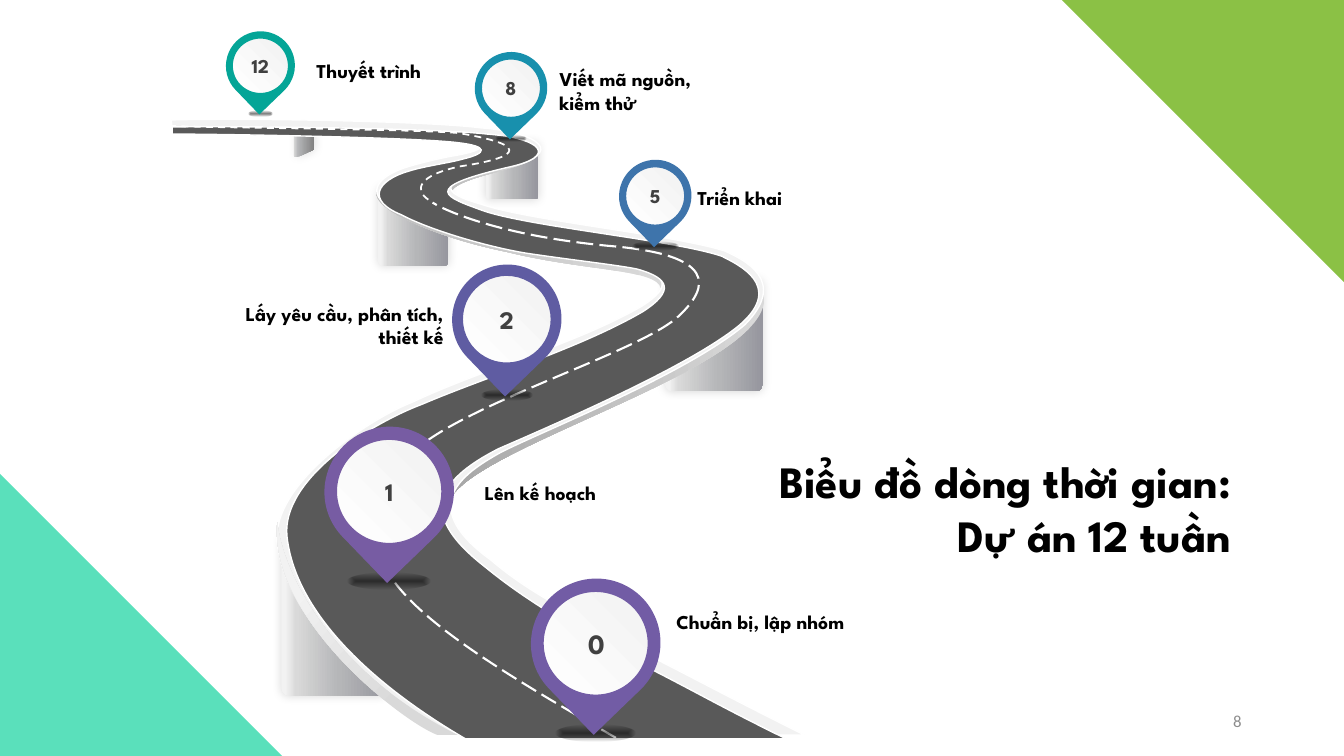
from dataclasses import dataclass

from lxml import etree
from pptx import Presentation
from pptx import util as u
from pptx.dml.color import RGBColor
from pptx.enum import dml, shapes, text
from pptx.oxml.ns import qn

COLORS = {
    "ink": "000000", "number": "404040", "page": "8C8C8C", "white": "FFFFFF",
    "verge": "F2F2F2", "asphalt": "595959", "mint": "5AE0BB", "lime": "8BC145",
    "silver": "D9D9D9", "steel": "B5B6B8", "slate": "96969E", "grey": "808080",
    "ash": "BFBFBF", "stone": "A6A6A6",
    "violet": "725CA5", "purple": "775CA3", "indigo": "5F5CA2",
    "blue": "3E74AB", "cyan": "1890AD", "teal": "04A597",
}
FONT = "League Spartan"
Box = tuple[float, float, float, float]
Stops = list[tuple[int, str, int]]


@dataclass
class Outline:
    start: tuple[float, float]
    segments: list[tuple[float, ...]]
    closed: bool = True


@dataclass
class Column:
    box: Box
    corner: float = 0.07


@dataclass
class Milestone:
    week: str
    color: str
    center: tuple[float, float]
    width: float
    shade_width: float
    ring: float
    size: int
    label: str
    label_box: Box
    align: text.PP_ALIGN = text.PP_ALIGN.LEFT


COLUMN_STOPS: Stops = [(4, "verge", 100), (14, "silver", 100), (55, "steel", 100), (100, "slate", 100)]
POST_STOPS: Stops = [(4, "verge", 100), (14, "silver", 100), (100, "steel", 100)]
BRACKET_STOPS: Stops = [(4, "steel", 100), (100, "grey", 100)]
DISC_STOPS: Stops = [(0, "white", 100), (100, "verge", 100)]
SHADE_STOPS: Stops = [(0, "ink", 52), (100, "ink", 0)]
EDGE_STOPS: Stops = [(23, "silver", 100), (78, "verge", 100)]

COLUMNS = [Column((475, 199.5, 70, 80)), Column((270, 134, 50.5, 56)),
           Column((201, 381, 75, 116)), Column((347, 102, 37.5, 40.5))]
POST = Column((209.5, 92, 3.5, 20), 0.33)
BRACKET = Outline((212.4, 94.3), [(224, 94.3), (224.6, 106.6), (212.4, 112.3)])

UNDERSIDES = [
    (Outline((335, 126), [(358.6, 117.4, 378, 119.5, 386.6, 106.6),
                          (387.4, 120.2, 332, 123.8, 322.6, 136),
                          (321, 134, 324, 129.6, 335, 126)]), "ash"),
    (Outline((269, 137), [(274, 153, 337, 171, 361, 176), (399, 188, 480, 186, 472, 206),
                          (469, 192, 419, 194, 362, 180), (313, 170, 266, 150, 269, 137)]), "ash"),
    (Outline((405, 300), [(472, 273, 552, 226, 545, 208), (562, 260, 336, 318, 321, 358),
                          (324, 336, 364, 315, 405, 300)]), "stone"),
]
VERGE = Outline((122.4, 85.7), [
    (123, 94.3), (157, 94.3, 292, 95.8, 324, 100), (352, 103, 346, 107.3, 326, 111),
    (317.5, 112.3, 299, 116.6, 288, 120.2), (273.6, 125.3, 257, 136.8, 282, 150.5),
    (310, 165, 350, 173.5, 378.7, 180), (407.5, 186.5, 440.6, 187, 455, 191.5),
    (476, 196.6, 481, 204.5, 458, 219), (411, 246, 345, 263.5, 294.5, 287.3),
    (263, 299.5, 193.7, 346, 198, 387.4), (206, 450.7, 278.6, 503, 317.5, 525),
    (574.6, 525), (518.4, 497, 502.6, 488, 451.4, 462), (416, 441, 382, 427, 350.6, 400),
    (299.5, 363, 327, 340.6, 355, 324.7), (375, 313, 489, 268.6, 532, 232),
    (564, 200, 530, 185, 517.7, 179.3), (481.7, 167.8, 378, 157.7, 344, 146),
    (316, 138, 308, 130.3, 361.4, 118.8), (406.8, 110, 383.8, 94.3, 344, 91.4),
    (305, 86.4, 169, 84.2, 122.4, 85.7)])
ASPHALT = Outline((123, 90.7), [
    (123, 95.8), (155.5, 95.8, 296.6, 98, 327.6, 102), (348.5, 104.4, 349, 109.4, 330, 113.8),
    (323, 116, 302.4, 118.8, 291.6, 122.4), (269, 129, 261.4, 143.3, 286.6, 153.4),
    (309.6, 165.6, 355, 178, 379.4, 181.4), (409, 185.8, 441.4, 189.4, 455, 192.2),
    (478.8, 198.7, 481.7, 208, 459.4, 222.5), (414, 249, 347, 269.3, 301.7, 288.7),
    (265, 302.4, 201, 342, 205, 383), (212.4, 451.4, 295, 506, 332.6, 527.8),
    (561.6, 527.8), (507, 501, 490, 490, 440.6, 465.8), (406, 445.7, 377, 430, 346, 404.6),
    (301, 369.4, 308, 345, 356.4, 320.4), (419.8, 293, 497.5, 257.8, 528.5, 232),
    (561, 203.8, 526.3, 188.6, 515.5, 183), (481, 171.4, 378, 162, 345, 150.5),
    (319, 141, 298, 134.6, 363, 119.5), (399.6, 111.6, 386.6, 98.6, 347.8, 95.8),
    (309.6, 91.4, 167.8, 90, 123, 90.7)])
NEAR_LANE = Outline((440, 527), [
    (368.6, 486, 296.6, 444, 276.5, 407.5), (256.3, 370, 267, 336, 319, 306),
    (371.5, 275.8, 460.8, 247.7, 484.6, 226), (507.6, 204.5, 512, 182, 435.6, 175.7),
    (358.6, 168.5, 319, 151, 309, 144.7)], closed=False)
FAR_LANE = Outline((306, 142.6), [
    (296, 136, 298, 125.3, 329, 118.8), (363, 113.8, 387.4, 105, 327, 95),
    (291.6, 92.2, 159, 91.4, 122.4, 90)], closed=False)
EDGE = Outline((198, 373), [(202.3, 411.8, 239, 481, 327, 525), (312.5, 525),
                            (288, 516, 192, 442, 198, 373)])
CORNERS = [(Outline((0, 338.4), [(201.6, 540), (0, 540)]), "mint"),
           (Outline((960, 201.6), [(758.4, 0), (960, 0)]), "lime")]

MILESTONES = [
    Milestone("2", "indigo", (362, 228), 78.5, 36.5, 1.75, 18, "Lấy yêu cầu, phân tích, thiết kế",
              (151, 212.5, 173, 39.5), text.PP_ALIGN.RIGHT),
    Milestone("1", "purple", (278, 351), 93, 59, 1.75, 18, "Lên kế hoạch", (339, 340, 104.5, 24)),
    Milestone("0", "violet", (425.5, 459.5), 93, 57.5, 2, 20, "Chuẩn bị, lập nhóm", (476, 432, 147, 24)),
    Milestone("5", "blue", (468, 140), 52, 32.5, 1.25, 14, "Triển khai", (491, 120, 108.5, 42)),
    Milestone("8", "cyan", (365, 63), 52, 21.5, 1.25, 14, "Viết mã nguồn, kiểm thử", (392.5, 41, 130, 47.5)),
    Milestone("12", "teal", (186, 47), 49.5, 16.5, 1.25, 14, "Thuyết trình", (219, 30, 116, 41)),
]


def rgb(name: str) -> RGBColor:
    return RGBColor.from_string(COLORS[name])


def place(box: Box) -> list[u.Length]:
    return [u.Pt(v) for v in box]


def centered(x: float, y: float, width: float, height: float) -> Box:
    return x - width / 2, y - height / 2, width, height


def paint(shape, fill: str | None = None, line: str | None = None, weight: float = 1, dash=None) -> None:
    shape.shadow.inherit = False
    if fill:
        shape.fill.solid()
        shape.fill.fore_color.rgb = rgb(fill)
    else:
        shape.fill.background()
    if line:
        shape.line.color.rgb = rgb(line)
        shape.line.width = u.Pt(weight)
        shape.line.dash_style = dash
    else:
        shape.line.fill.background()


def blend(shape, stops: Stops, angle: int | None = 0) -> None:
    shape.fill.gradient()
    grad = shape._element.spPr.find(qn("a:gradFill"))
    for child in list(grad):
        grad.remove(child)
    listing = etree.SubElement(grad, qn("a:gsLst"))
    for position, name, opacity in stops:
        stop = etree.SubElement(listing, qn("a:gs"), pos=str(position * 1000))
        tint = etree.SubElement(stop, qn("a:srgbClr"), val=COLORS[name])
        if opacity < 100:
            etree.SubElement(tint, qn("a:alpha"), val=str(opacity * 1000))
    if angle is None:
        radial = etree.SubElement(grad, qn("a:path"), {"path": "shape"})
        etree.SubElement(radial, qn("a:fillToRect"), {side: "50000" for side in "ltrb"})
    else:
        etree.SubElement(grad, qn("a:lin"), ang=str(angle * 60000), scaled="0")


def cast_shadow(shape) -> None:
    effects = shape._element.spPr.find(qn("a:effectLst"))
    outer = etree.SubElement(effects, qn("a:outerShdw"), blurRad=str(u.Pt(7)), dist="0", dir="18900000")
    tint = etree.SubElement(outer, qn("a:srgbClr"), val=COLORS["ink"])
    etree.SubElement(tint, qn("a:alpha"), val="15000")


def draw_outline(slide, outline: Outline):
    builder = slide.shapes.build_freeform(*(u.Pt(v) for v in outline.start))
    ends = [(u.Pt(segment[-2]), u.Pt(segment[-1])) for segment in outline.segments]
    builder.add_line_segments(ends, close=outline.closed)
    shape = builder.convert_to_shape()
    lines = list(shape._element.iter(qn("a:lnTo")))
    for line, segment in zip(lines, outline.segments):
        if len(segment) == 6:
            curve = etree.Element(qn("a:cubicBezTo"))
            for x, y in zip(segment[::2], segment[1::2]):
                etree.SubElement(curve, qn("a:pt"), x=str(u.Pt(x) - shape.left), y=str(u.Pt(y) - shape.top))
            line.getparent().replace(line, curve)
    return shape


def draw_preset(slide, kind: shapes.MSO_SHAPE, box: Box, **style):
    shape = slide.shapes.add_shape(kind, *place(box))
    paint(shape, **style)
    return shape


def draw_column(slide, column: Column, stops: Stops, shadow: bool) -> None:
    shape = draw_preset(slide, shapes.MSO_SHAPE.ROUNDED_RECTANGLE, column.box)
    shape.adjustments[0] = column.corner
    blend(shape, stops)
    if shadow:
        cast_shadow(shape)


def style_paragraph(paragraph, size: int, color: str, align: text.PP_ALIGN,
                    font: str = FONT, bold: bool = True) -> None:
    paragraph.alignment = align
    paragraph.font.name, paragraph.font.size, paragraph.font.bold = font, u.Pt(size), bold
    paragraph.font.color.rgb = rgb(color)


def write(slide, words: str, box: Box, size: int, color: str, align: text.PP_ALIGN,
          font: str = FONT, bold: bool = True, wrap: bool = True) -> None:
    frame = slide.shapes.add_textbox(*place(box)).text_frame
    frame.word_wrap = wrap
    frame.vertical_anchor = text.MSO_ANCHOR.MIDDLE
    frame.text = words
    style_paragraph(frame.paragraphs[0], size, color, align, font, bold)


def draw_title(slide) -> None:
    title = slide.shapes.title
    title.left, title.top, title.width, title.height = place((507.5, 320.5, 379.5, 85))
    frame = title.text_frame
    frame.auto_size = text.MSO_AUTO_SIZE.NONE
    frame.vertical_anchor = text.MSO_ANCHOR.TOP
    frame.text = "Biểu đồ dòng thời gian:\nDự án 12 tuần"
    for paragraph in frame.paragraphs:
        style_paragraph(paragraph, 32, "ink", text.PP_ALIGN.RIGHT)


def draw_blend(slide, outline: Outline, stops: Stops, angle: int):
    shape = draw_outline(slide, outline)
    paint(shape)
    blend(shape, stops, angle)
    return shape


def draw_road(slide) -> None:
    for column in COLUMNS:
        draw_column(slide, column, COLUMN_STOPS, True)
    cast_shadow(draw_blend(slide, BRACKET, BRACKET_STOPS, 0))
    draw_column(slide, POST, POST_STOPS, False)
    for outline, end in UNDERSIDES:
        draw_blend(slide, outline, [(0, "silver", 100), (100, end, 100)], 180)
    for outline, fill in ((VERGE, "verge"), (ASPHALT, "asphalt")):
        paint(draw_outline(slide, outline), fill, "white")
    paint(draw_outline(slide, NEAR_LANE), None, "white", 1.5, dml.MSO_LINE.LONG_DASH)
    paint(draw_outline(slide, FAR_LANE), None, "white", 1.25, dml.MSO_LINE.DASH)
    draw_blend(slide, EDGE, EDGE_STOPS, 225)


def draw_pin(slide, stage: Milestone) -> None:
    x, y = stage.center
    shade = draw_preset(slide, shapes.MSO_SHAPE.OVAL,
                        centered(x, y + 0.69 * stage.width, stage.shade_width, 0.21 * stage.shade_width))
    blend(shade, SHADE_STOPS, None)
    drop = draw_preset(slide, shapes.MSO_SHAPE.TEAR,
                       centered(x, y, stage.width, 0.99 * stage.width), fill=stage.color)
    drop.rotation = 136
    disc = draw_preset(slide, shapes.MSO_SHAPE.OVAL,
                       centered(x, y, 0.82 * stage.width, 0.81 * stage.width),
                       line=stage.color, weight=stage.ring)
    blend(disc, DISC_STOPS, 315)
    write(slide, stage.week, centered(x, y, 18 + 7 * len(stage.week), 1.6 * stage.size),
          stage.size, "number", text.PP_ALIGN.CENTER, wrap=False)


def main() -> None:
    deck = Presentation()
    deck.slide_width, deck.slide_height = u.Pt(960), u.Pt(540)
    slide = deck.slides.add_slide(deck.slide_layouts[5])
    draw_title(slide)
    draw_road(slide)
    for stage in MILESTONES:
        write(slide, stage.label, stage.label_box, 14, "ink", stage.align)
    for stage in MILESTONES:
        draw_pin(slide, stage)
    write(slide, "8", (678, 500.5, 216, 29), 12, "page", text.PP_ALIGN.RIGHT, "Calibri", False)
    for outline, fill in CORNERS:
        paint(draw_outline(slide, outline), fill)
    deck.save("out.pptx")


if __name__ == "__main__":
    main()
